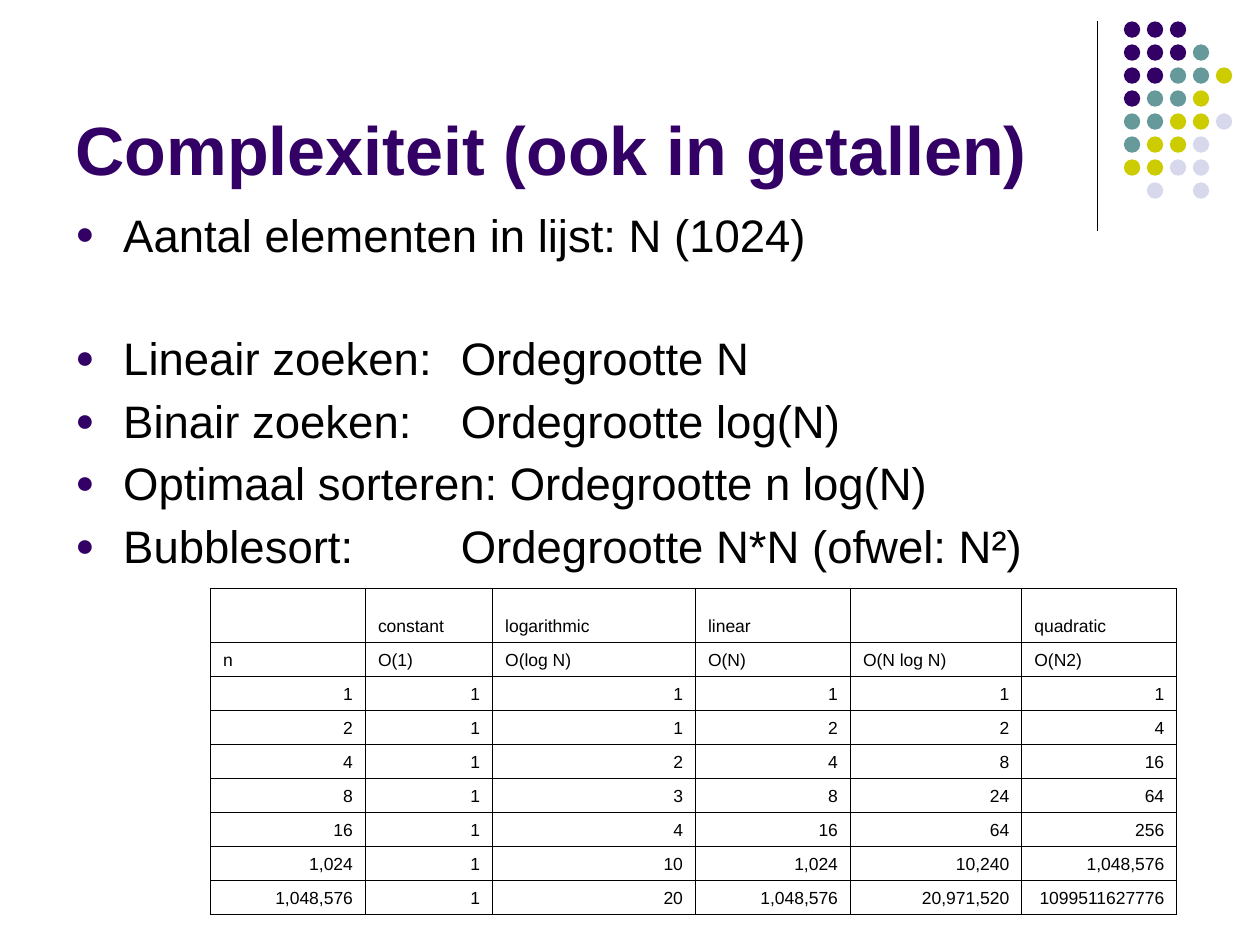
import dataclasses

import pptx
import pptx.dml.color
import pptx.enum.shapes
import pptx.enum.text
import pptx.oxml
import pptx.oxml.ns
import pptx.util

Inches = pptx.util.Inches
Pt = pptx.util.Pt
ALIGN = pptx.enum.text.PP_ALIGN
ANCHOR = pptx.enum.text.MSO_ANCHOR


@dataclasses.dataclass(frozen=True)
class Theme:
    """Colours, font and type sizes of the slide."""

    font: str = "Arial"
    purple: str = "330066"
    teal: str = "669999"
    lime: str = "CCCC00"
    pale: str = "D8D8EC"
    ink: str = "000000"
    title_size: float = 39
    body_size: float = 26
    table_size: float = 10


THEME = Theme()
DOT_COLOURS = {"P": THEME.purple, "T": THEME.teal, "L": THEME.lime, "W": THEME.pale}
DOT_ROWS = ["PPP", "PPPT", "PPTTL", "PTTL", "TTLLW", "TLLW", "LLWW", " W W"]
SPACE = 4.7
GAP = 39.3
BULLETS = [
    ("Aantal elementen in lijst: N (1024)", 0),
    ("Lineair zoeken:\tOrdegrootte N", GAP),
    ("Binair zoeken:\tOrdegrootte log(N)", SPACE),
    ("Optimaal sorteren: Ordegrootte n log(N)", SPACE),
    ("Bubblesort:\tOrdegrootte N*N (ofwel: N²)", SPACE),
]
COLUMN_WIDTHS = [1.23, 1.01, 1.61, 1.23, 1.36, 1.23]
ROW_HEIGHTS = [0.43] + [0.27] * 8
GROWTH = [
    ["", "constant", "logarithmic", "linear", "", "quadratic"],
    ["n", "O(1)", "O(log N)", "O(N)", "O(N log N)", "O(N2)"],
    ["1", "1", "1", "1", "1", "1"],
    ["2", "1", "1", "2", "2", "4"],
    ["4", "1", "2", "4", "8", "16"],
    ["8", "1", "3", "8", "24", "64"],
    ["16", "1", "4", "16", "64", "256"],
    ["1,024", "1", "10", "1,024", "10,240", "1,048,576"],
    ["1,048,576", "1", "20", "1,048,576", "20,971,520", "1099511627776"],
]


def apply(target, values):
    """Set every attribute in values on the target."""
    for name, value in values.items():
        setattr(target, name, value)


def rgb(colour):
    """Return a colour object for a hexadecimal string."""
    return pptx.dml.color.RGBColor.from_string(colour)


def add_xml(parent, markup):
    """Append a drawing element to the parent."""
    head, mark, tail = markup.partition(">")
    space = " " + pptx.oxml.ns.nsdecls("a")
    opening = head[:-1] + space + "/" if head.endswith("/") else head + space
    parent.append(pptx.oxml.parse_xml(opening + mark + tail))


def write(para, text, size, colour, bold=False):
    """Add one formatted run to a paragraph."""
    span = para.add_run()
    span.text = text
    apply(span.font, {"name": THEME.font, "size": Pt(size), "bold": bold})
    span.font.color.rgb = rgb(colour)


def add_title(page, text):
    """Place and format the title placeholder."""
    title = page.shapes.title
    apply(title, {"left": Inches(0.5), "top": Inches(0.13),
                  "width": Inches(8.25), "height": Inches(1.42)})
    apply(title.text_frame, {"vertical_anchor": ANCHOR.BOTTOM, "word_wrap": True,
                             "auto_size": pptx.enum.text.MSO_AUTO_SIZE.NONE})
    para = title.text_frame.paragraphs[0]
    para.alignment = ALIGN.LEFT
    write(para, text, THEME.title_size, THEME.purple, True)


def add_divider(page):
    """Draw the vertical line beside the dots."""
    line = page.shapes.add_connector(
        pptx.enum.shapes.MSO_CONNECTOR.STRAIGHT,
        Inches(8.71), Inches(0.17), Inches(8.71), Inches(1.83))
    line.line.color.rgb = rgb(THEME.ink)
    line.line.width = Pt(0.74)
    add_xml(line._element.spPr, "<a:effectLst/>")


def add_dots(page):
    """Draw the grouped grid of coloured dots."""
    group = page.shapes.add_group_shape()
    pitch = 0.73 / 4
    for row, codes in enumerate(DOT_ROWS):
        for column, code in enumerate(codes):
            if code in DOT_COLOURS:
                dot = group.shapes.add_shape(
                    pptx.enum.shapes.MSO_SHAPE.OVAL,
                    Inches(8.92 + column * pitch), Inches(0.17 + row * pitch),
                    Inches(0.13), Inches(0.13))
                dot.shadow.inherit = False
                dot.fill.solid()
                dot.fill.fore_color.rgb = rgb(DOT_COLOURS[code])
                dot.line.fill.background()


def add_bullets(page):
    """Write the bulleted list with its aligned second column."""
    box = page.shapes.add_textbox(Inches(0.5), Inches(1.59), Inches(9), Inches(4.82))
    frame = box.text_frame
    frame.word_wrap = True
    for index, (text, before) in enumerate(BULLETS):
        para = frame.add_paragraph() if index else frame.paragraphs[0]
        apply(para, {"space_before": Pt(before), "line_spacing": 1.0})
        properties = para._p.get_or_add_pPr()
        properties.set("marL", str(Inches(0.38)))
        properties.set("indent", str(-Inches(0.38)))
        for markup in (
            f'<a:buClr><a:srgbClr val="{THEME.purple}"/></a:buClr>',
            '<a:buSzPct val="70000"/>',
            f'<a:buFont typeface="{THEME.font}"/>',
            '<a:buChar char="●"/>',
            f'<a:tabLst><a:tab pos="{Inches(3.06)}" algn="l"/></a:tabLst>',
        ):
            add_xml(properties, markup)
        write(para, text, THEME.body_size, THEME.ink)


def format_cell(cell, text, alignment):
    """Fill one table cell and draw its borders."""
    apply(cell, {"vertical_anchor": ANCHOR.BOTTOM,
                 "margin_left": Inches(0.1), "margin_right": Inches(0.1),
                 "margin_top": Inches(0.05), "margin_bottom": Inches(0.05)})
    properties = cell._tc.get_or_add_tcPr()
    for side in "LRTB":
        add_xml(properties, f'<a:ln{side} w="{Pt(0.45)}"><a:solidFill>'
                f'<a:srgbClr val="{THEME.ink}"/></a:solidFill></a:ln{side}>')
    cell.fill.background()
    para = cell.text_frame.paragraphs[0]
    para.alignment = alignment
    if text:
        write(para, text, THEME.table_size, THEME.ink)


def add_growth_table(page):
    """Build the table of growth rates."""
    table = page.shapes.add_table(
        len(GROWTH), len(COLUMN_WIDTHS), Inches(1.67), Inches(4.67),
        Inches(sum(COLUMN_WIDTHS)), Inches(sum(ROW_HEIGHTS))).table
    apply(table, {"first_row": False, "horz_banding": False})
    for column, width in zip(table.columns, COLUMN_WIDTHS):
        column.width = Inches(width)
    for index, (row, height, values) in enumerate(zip(table.rows, ROW_HEIGHTS, GROWTH)):
        row.height = Inches(height)
        alignment = ALIGN.LEFT if index < 2 else ALIGN.RIGHT
        for cell, text in zip(row.cells, values):
            format_cell(cell, text, alignment)


def main():
    """Build and save the slide."""
    deck = pptx.Presentation()
    apply(deck, {"slide_width": Inches(10), "slide_height": Inches(7.5)})
    page = deck.slides.add_slide(deck.slide_layouts[5])
    add_divider(page)
    add_dots(page)
    add_title(page, "Complexiteit (ook in getallen)")
    add_bullets(page)
    add_growth_table(page)
    deck.save("out.pptx")


main()
